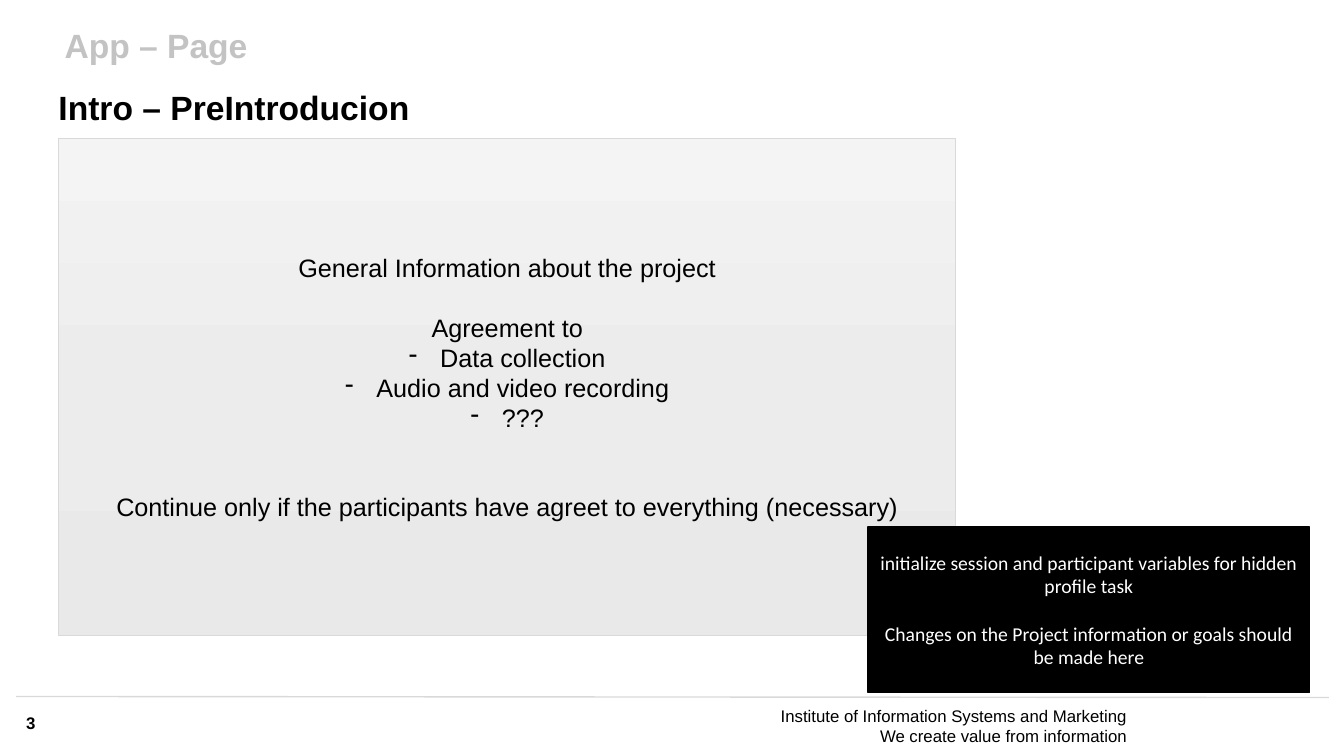
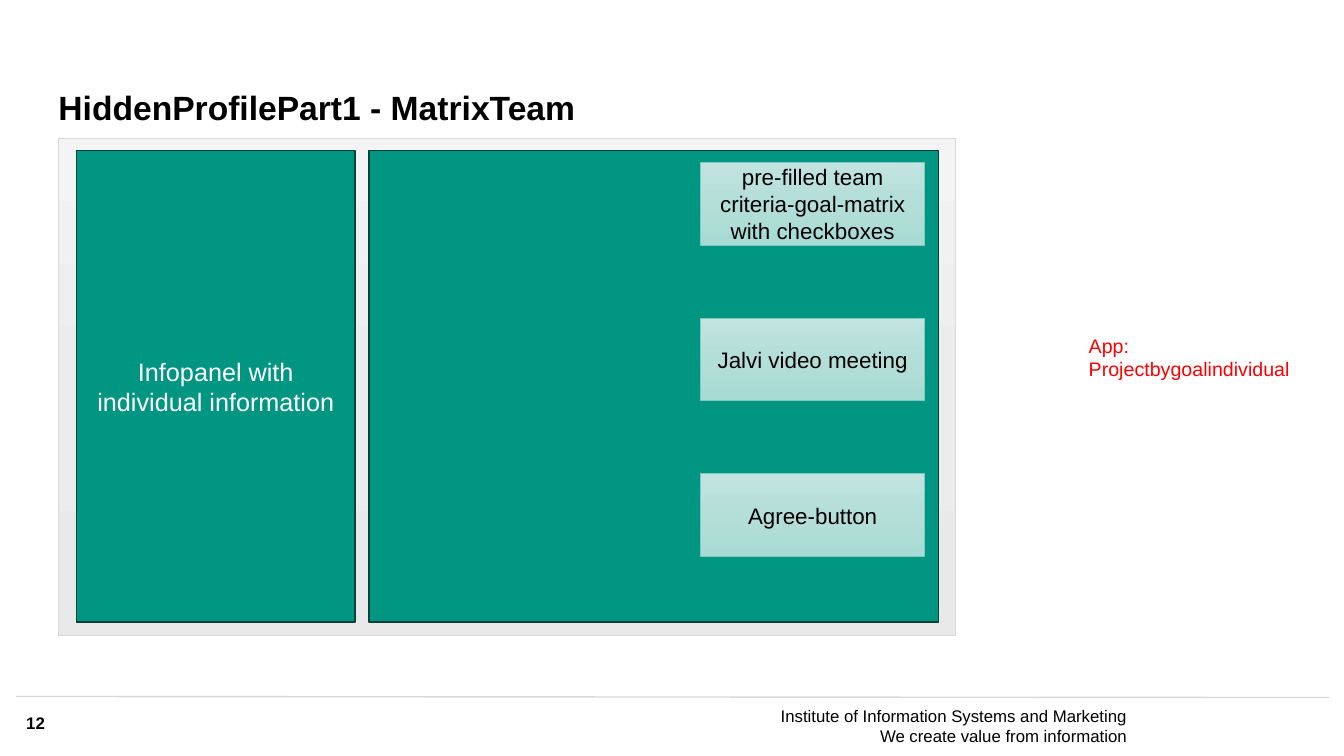
"""Build two app wireframe slides that share a title style, a panel and a footer."""
from copy import deepcopy
from dataclasses import dataclass

from lxml.etree import SubElement
from pptx import Presentation
from pptx.dml.color import RGBColor as RGB
from pptx.enum.shapes import MSO_CONNECTOR as CONNECTOR, MSO_SHAPE as SHAPE
from pptx.enum.text import MSO_ANCHOR as ANCHOR, MSO_AUTO_SIZE as AUTO, PP_ALIGN as ALIGN
from pptx.oxml.ns import qn
from pptx.util import Inches, Pt


@dataclass(frozen=True)
class Theme:
    font: str = "Arial"
    note_font: str = "Calibri"
    title: int = 24
    body: int = 18
    card: int = 16
    note: int = 14
    footer: int = 12
    black: str = "000000"
    white: str = "FFFFFF"
    muted: str = "C3C3C3"
    rule: str = "D9D9D9"
    red: str = "FF0000"
    green: str = "009682"
    green_edge: str = "004239"
    mint_edge: str = "7FCAC0"
    grey_fade: tuple = ("F4F4F4", "ECECEC", "E9E9E9")
    mint_fade: tuple = ("C1E4DF", "B4DED8", "A7DBD4")


T = Theme()
prs = Presentation()
prs.slide_width, prs.slide_height = Inches(13.33), Inches(7.5)
COL, ROW = prs.slide_width / 100, prs.slide_height / 100


def box(s, x, y, w, h, fill=None, edge=None, weight=1, sp=None):
    """Place a shape or text box, measured in percent of the slide."""
    at = [round(v) for v in (x * COL, y * ROW, w * COL, h * ROW)]
    if sp is None:
        sp = s.shapes.add_shape(SHAPE.RECTANGLE, *at) if fill else s.shapes.add_textbox(*at)
    sp.left, sp.top, sp.width, sp.height = at
    if fill:
        sp.shadow.inherit = False
        sp.line.color.rgb, sp.line.width = RGB.from_string(edge), Pt(weight)
        if isinstance(fill, str):
            sp.fill.solid()
            sp.fill.fore_color.rgb = RGB.from_string(fill)
        else:
            sp.fill.gradient()
            sp.fill.gradient_angle = 270
            stops = sp._element.spPr.find(qn("a:gradFill")).find(qn("a:gsLst"))
            stops.insert(1, deepcopy(stops[0]))
            for stop, pos, color in zip(sp.fill.gradient_stops, (0, 0.5, 1), fill):
                stop.position, stop.color.rgb = pos, RGB.from_string(color)
    return sp


def write(sp, *paras, size=T.body, color=T.black, font=T.font, bold=False, align=ALIGN.CENTER,
          anchor=ANCHOR.MIDDLE, margin=None, spacing=None, gaps={}, dashes=()):
    """Fill a shape with formatted paragraphs."""
    tf = sp.text_frame
    tf.word_wrap, tf.auto_size, tf.vertical_anchor = True, AUTO.NONE, anchor
    if margin is not None:
        tf.margin_left = tf.margin_top = tf.margin_right = tf.margin_bottom = margin
    for i, text in enumerate(paras):
        p = tf.add_paragraph() if i else tf.paragraphs[0]
        p.text, p.alignment, p.line_spacing = text, align, spacing
        p.space_before = Pt(gaps.get(i, 0))
        for r in p.runs:
            r.font.name, r.font.size, r.font.bold = font, Pt(size), bold
            r.font.color.rgb = RGB.from_string(color)
        for br in p._p.findall(qn("a:br")):
            br.insert(0, deepcopy(p.runs[0]._r.rPr))
        if i in dashes:
            pPr = p._p.get_or_add_pPr()
            pPr.set("marL", str(Inches(0.31)))
            pPr.set("indent", str(-Inches(0.31)))
            SubElement(pPr, qn("a:buChar")).set("char", "-")


HEADING = dict(size=T.title, bold=True, align=ALIGN.LEFT, anchor=ANCHOR.BOTTOM, margin=0, spacing=0.9)
FOOTER = dict(size=T.footer, anchor=ANCHOR.TOP, margin=0)

slides, panels = [], []
for number, title in (("3", "Intro – PreIntroducion"), ("12", "HiddenProfilePart1 - MatrixTeam")):
    s = prs.slides.add_slide(prs.slide_layouts[5])
    rule = s.shapes.add_connector(CONNECTOR.STRAIGHT, round(1.2 * COL), round(92.13 * ROW),
                                  round(98.87 * COL), round(92.27 * ROW))
    rule.line.color.rgb, rule.line.width = RGB.from_string(T.rule), Pt(1)
    SubElement(rule._element.spPr, qn("a:effectLst"))
    write(box(s, 53.94, 93.33, 29.93, 5.2),
          "Institute of Information Systems and Marketing\nWe create value from information",
          align=ALIGN.RIGHT, **FOOTER)
    write(box(s, 1.95, 94.27, 3.53, 3.2), number, bold=True, align=ALIGN.LEFT, **FOOTER)
    write(box(s, 4.35, 5.73, 75.17, 11.2, sp=s.shapes.title), title, **HEADING)
    panels.append(box(s, 4.35, 18.33, 66.77, 65.73, T.grey_fade, T.rule, 0.5))
    slides.append(s)

intro, matrix = slides

write(panels[0], "General Information about the project", "Agreement to", "Data collection",
      "Audio and video recording", "???",
      "Continue only if the participants have agreet to everything (necessary)",
      gaps={1: 21, 5: 42}, dashes=(2, 3, 4))
write(box(intro, 64.59, 69.73, 32.86, 21.87, T.black, T.black),
      "initialize session and participant variables for hidden profile task",
      "Changes on the Project information or goals should be made here",
      size=T.note, color=T.white, font=T.note_font, gaps={1: 17})
write(box(intro, 4.8, 2.8, 75.17, 5.87), "App – Page", color=T.muted, **HEADING)

write(box(matrix, 80.27, 43.47, 17.1, 7.6), "App: Projectbygoalindividual",
      size=T.note, color=T.red, align=ALIGN.LEFT, anchor=ANCHOR.TOP)
write(box(matrix, 5.7, 19.87, 20.71, 62.4, T.green, T.green_edge),
      "Infopanel with individual information", color=T.white)
box(matrix, 27.46, 19.87, 42.39, 62.4, T.green, T.green_edge)
cards = ("pre-filled team\ncriteria-goal-matrix\nwith checkboxes", "Jalvi video meeting", "Agree-button")
for i, text in enumerate(cards):
    write(box(matrix, 52.14, 21.47 + 20.6 * i, 16.65, 10.93, T.mint_fade, T.mint_edge, 0.5),
          text, size=T.card)

prs.save("out.pptx")
